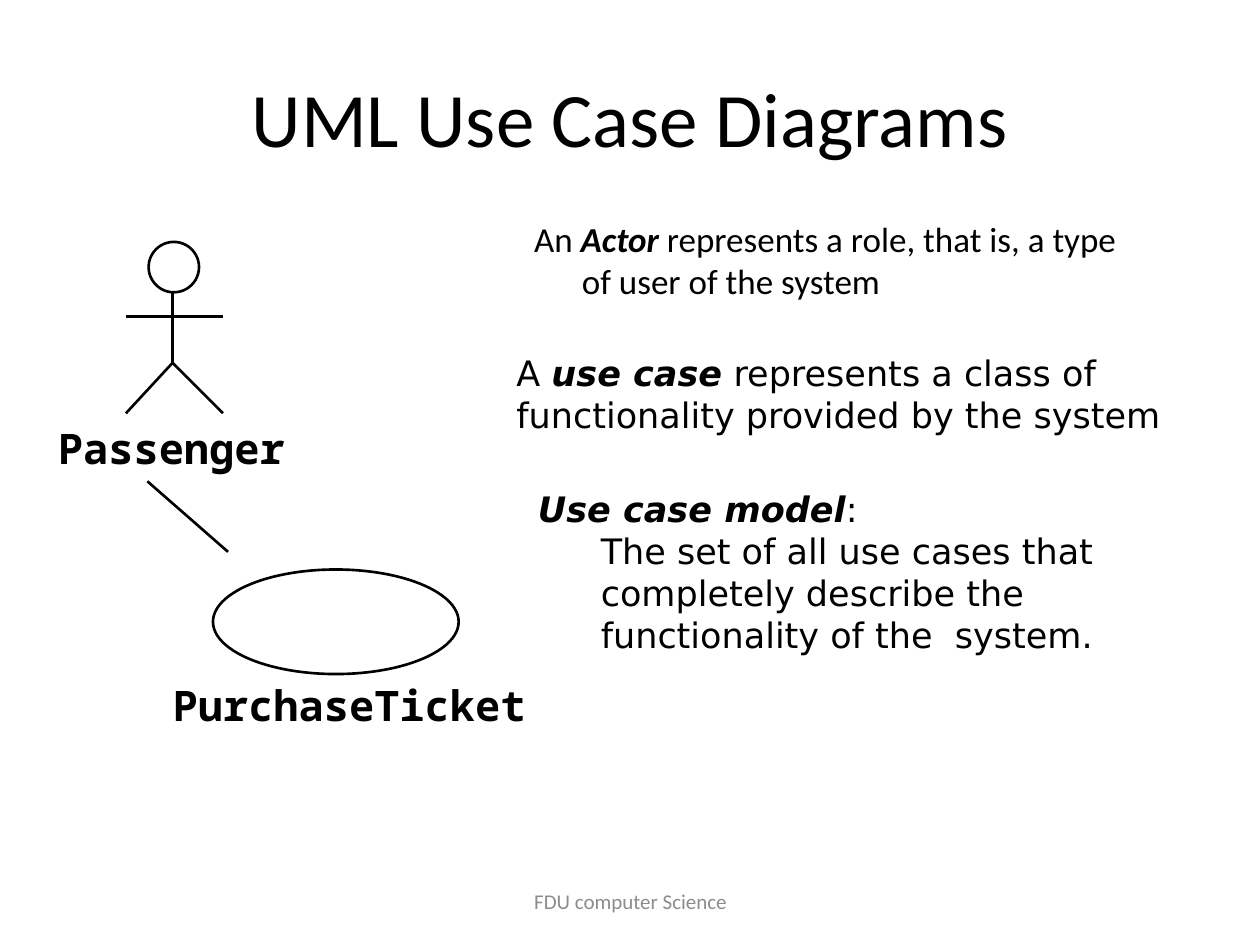
"""Build a slide that introduces UML use case diagrams."""
from typing import NamedTuple

from lxml.etree import SubElement
from pptx import Presentation
from pptx.dml.color import RGBColor
from pptx.enum.shapes import MSO_CONNECTOR, MSO_SHAPE
from pptx.enum.text import MSO_ANCHOR, MSO_AUTO_SIZE, PP_ALIGN
from pptx.oxml.ns import qn
from pptx.util import Inches, Pt

COLS, ROWS = 100, 75
BLACK, WHITE, GREY = "000000", "FFFFFF", "8C8C8C"
SANS, WIDE, MONO = "Calibri", "DejaVu Sans", "Noto Sans Mono"

prs = Presentation()
prs.slide_width, prs.slide_height = Inches(10), Inches(7.5)


class Box(NamedTuple):
    """A rectangle in grid columns and rows."""
    col: float
    row: float
    cols: float
    rows: float


class Run(NamedTuple):
    """A stretch of text, strong when bold and italic."""
    text: str
    strong: bool = False


class Para(NamedTuple):
    """A paragraph with its left margin and first-line indent in columns."""
    runs: list[Run]
    margin: float = 0
    indent: float = 0


class Label(NamedTuple):
    """A name below a diagram element."""
    text: str
    box: Box


class Note(NamedTuple):
    """An explanation beside the diagram."""
    box: Box
    font: str
    paras: list[Para]


class Segment(NamedTuple):
    """A straight line between two grid points."""
    start: tuple[float, float]
    end: tuple[float, float]


LABELS = [
    Label("Passenger", Box(4.6, 33.5, 18, 4)),
    Label("PurchaseTicket", Box(13.7, 53.9, 28, 4)),
]
NOTES = [
    Note(Box(41.4, 16.8, 49, 8.8), SANS, [Para([
        Run("An "), Run("Actor", True),
        Run(" represents a role, that is, a type of user of the system"),
    ], 3.8, -3.8)]),
    Note(Box(41.7, 38.2, 53.7, 20.4), WIDE, [
        Para([Run("Use case model", True), Run(":")]),
        Para([Run("The set of all use cases that completely describe "
                  "the functionality of the  system.")], 5),
    ]),
    Note(Box(40, 27.4, 53.3, 10), WIDE, [Para([
        Run("A "), Run("use case", True),
        Run(" represents a class of functionality provided by the system"),
    ])]),
]
BODY_AND_LEG = [(13.7, 22), (13.7, 28.8), (10, 32.8)]
SEGMENTS = [
    Segment((13.7, 28.8), (17.7, 32.8)),
    Segment((10, 25.1), (17.7, 25.1)),
    Segment((11.7, 38.2), (18.1, 43.8)),
]
HEAD = Box(11.8, 19.2, 4, 4)
USE_CASE = Box(16.9, 45.2, 19.5, 8.3)


def x(cols: float) -> int:
    """Turn grid columns into a length."""
    return round(prs.slide_width * cols / COLS)


def y(rows: float) -> int:
    """Turn grid rows into a length."""
    return round(prs.slide_height * rows / ROWS)


def place(box: Box) -> tuple[int, int, int, int]:
    """Give left, top, width and height of a box."""
    return x(box.col), y(box.row), x(box.cols), y(box.rows)


def rgb(value: str) -> RGBColor:
    """Turn a hex string into a colour."""
    return RGBColor.from_string(value)


def write(sp, paras: list[Para], *, font: str = SANS, size: float = 20,
          color: str = BLACK, bold: bool = False, align=PP_ALIGN.LEFT,
          anchor=MSO_ANCHOR.TOP, tight: bool = False) -> None:
    """Fill a shape with formatted paragraphs."""
    tf = sp.text_frame
    tf.word_wrap = not tight
    tf.vertical_anchor = anchor
    if tight:
        tf.margin_left = tf.margin_top = tf.margin_right = tf.margin_bottom = 0
        tf.auto_size = MSO_AUTO_SIZE.SHAPE_TO_FIT_TEXT
    for i, para in enumerate(paras):
        p = tf.add_paragraph() if i else tf.paragraphs[0]
        p.alignment = align
        if para.margin:
            pPr = p._p.get_or_add_pPr()
            pPr.set("marL", str(x(para.margin)))
            pPr.set("indent", str(x(para.indent)))
        for run in para.runs:
            r = p.add_run()
            r.text = run.text
            r.font.name, r.font.size = font, Pt(size)
            r.font.bold, r.font.italic = bold or run.strong, run.strong
            r.font.color.rgb = rgb(color)


def outline(sp) -> None:
    """Draw a shape's line in black."""
    sp.line.color.rgb = rgb(BLACK)
    sp.line.width = Pt(1.5)


def add_segment(s, seg: Segment) -> None:
    """Add a straight line without a shadow."""
    (x1, y1), (x2, y2) = seg
    sp = s.shapes.add_connector(MSO_CONNECTOR.STRAIGHT, x(x1), y(y1), x(x2), y(y2))
    outline(sp)
    SubElement(sp._element.spPr, qn("a:effectLst"))


def add_path(s, points: list[tuple[float, float]]) -> None:
    """Add an open, unfilled outline through the points."""
    start, *rest = [(x(px), y(py)) for px, py in points]
    builder = s.shapes.build_freeform(*start)
    builder.add_line_segments(rest, close=False)
    sp = builder.convert_to_shape()
    sp.shadow.inherit = False
    sp.fill.background()
    outline(sp)


def add_ellipse(s, box: Box, fill: str | None = None) -> None:
    """Add an outlined ellipse."""
    sp = s.shapes.add_shape(MSO_SHAPE.OVAL, *place(box))
    sp.shadow.inherit = False
    if fill:
        sp.fill.solid()
        sp.fill.fore_color.rgb = rgb(fill)
    else:
        sp.fill.background()
    outline(sp)


def main() -> None:
    """Draw the slide and save it."""
    s = prs.slides.add_slide(prs.slide_layouts[5])
    title = s.shapes.title
    title.left, title.top, title.width, title.height = place(Box(5, 3, 90, 12.5))
    write(title, [Para([Run("UML Use Case Diagrams")])], size=44,
          align=PP_ALIGN.CENTER, anchor=MSO_ANCHOR.MIDDLE)
    add_path(s, BODY_AND_LEG)
    for seg in SEGMENTS:
        add_segment(s, seg)
    add_ellipse(s, HEAD, WHITE)
    add_ellipse(s, USE_CASE)
    for label in LABELS:
        write(s.shapes.add_textbox(*place(label.box)), [Para([Run(label.text)])],
              font=MONO, size=24, bold=True, tight=True)
    for note in NOTES:
        write(s.shapes.add_textbox(*place(note.box)), note.paras, font=note.font)
    footer = s.shapes.add_textbox(*place(Box(34.2, 69.5, 31.7, 4)))
    write(footer, [Para([Run("FDU computer Science")])], size=12, color=GREY,
          align=PP_ALIGN.CENTER, anchor=MSO_ANCHOR.MIDDLE)
    prs.save("out.pptx")


if __name__ == "__main__":
    main()
